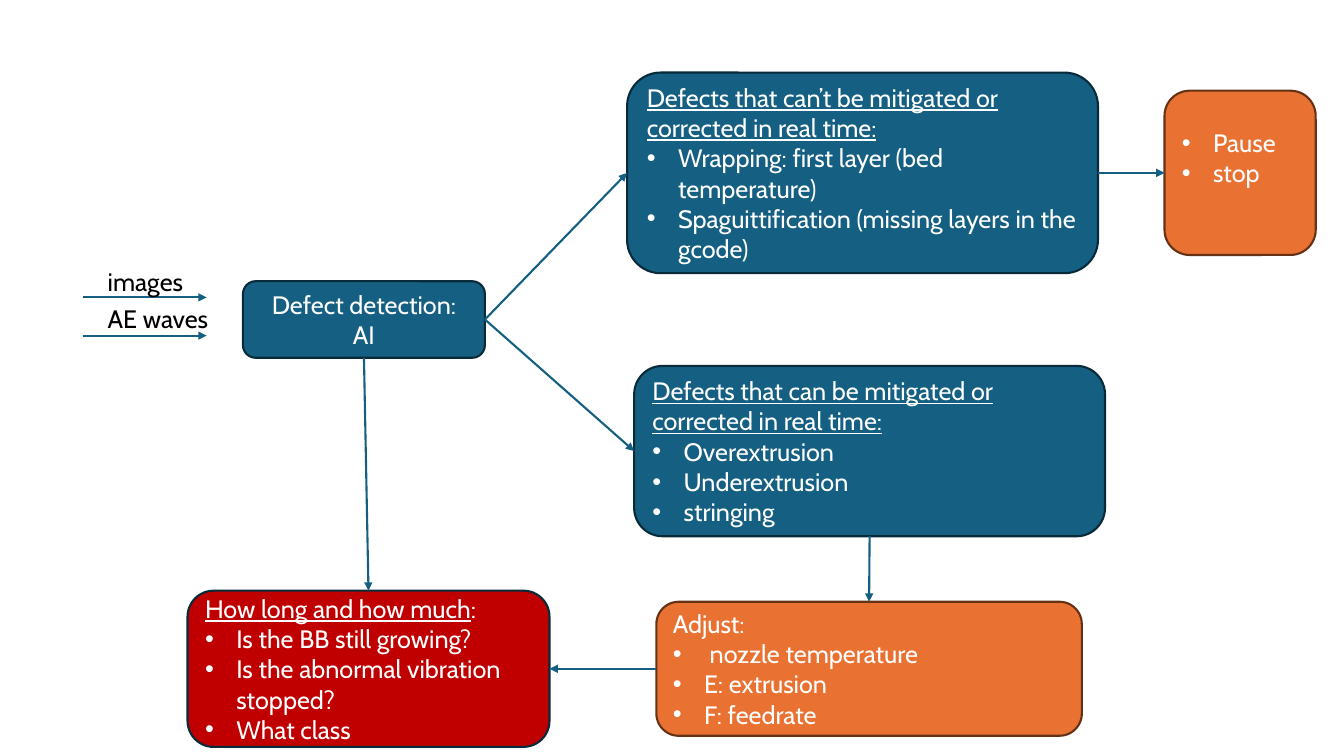
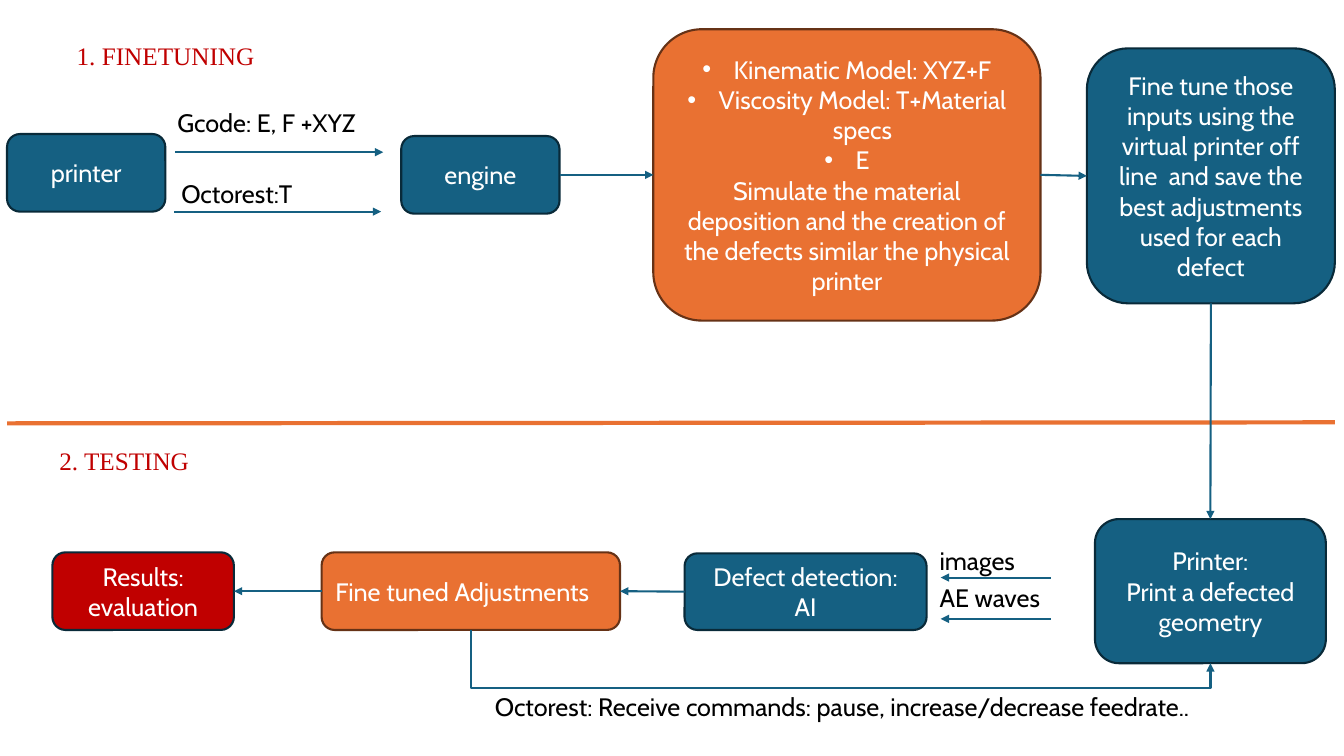
from lxml import etree
from pptx import Presentation
from pptx import util as u
from pptx.dml.color import RGBColor
from pptx.enum import shapes, text
from pptx.oxml import ns

Inches = u.Inches

# Shared look
BLUE = RGBColor(0x15, 0x60, 0x82)
NAVY = RGBColor(0x09, 0x2A, 0x39)
ORANGE = RGBColor(0xE9, 0x71, 0x32)
BROWN = RGBColor(0x66, 0x32, 0x16)
RED = RGBColor(0xC0, 0x00, 0x00)
WHITE = RGBColor(0xFF, 0xFF, 0xFF)
BLACK = RGBColor(0x00, 0x00, 0x00)
OUTLINES = {BLUE: NAVY, ORANGE: BROWN, RED: NAVY}
BODY_FONT, HEADING_FONT = "Cabin", "Times New Roman"
LEFT, CENTER = text.PP_ALIGN.LEFT, text.PP_ALIGN.CENTER
TOP_SITE, LEFT_SITE, BOTTOM_SITE, RIGHT_SITE = range(4)
TITLE_ONLY, BLANK = 5, 6
BULLET = "• "


def sub(parent, tag, **attributes):
    return etree.SubElement(parent, ns.qn(tag), attributes)


def add_run(p, words, color, font=BODY_FONT, underline=None):
    r = p.add_run()
    r.text = words
    r.font.size = u.Pt(18)
    r.font.name = font
    r.font.color.rgb = color
    r.font.underline = underline


def set_bullet(p):
    pPr = p._p.get_or_add_pPr()
    indent = Inches(0.31)
    pPr.set("marL", str(indent))
    pPr.set("indent", str(-indent))
    sub(pPr, "a:buFont", typeface="Arial")
    sub(pPr, "a:buChar", char=BULLET.strip())


def box(s, x, y, w, h, fill, lines, align=CENTER, underlined=""):
    """Rounded box; lines that start with BULLET become list items."""
    sp = s.shapes.add_shape(shapes.MSO_SHAPE.ROUNDED_RECTANGLE,
                            Inches(x), Inches(y), Inches(w), Inches(h))
    sp.shadow.inherit = False
    sp.fill.solid()
    sp.fill.fore_color.rgb = fill
    sp.line.color.rgb = OUTLINES[fill]
    sp.line.width = u.Pt(1.5)
    tf = sp.text_frame
    tf.word_wrap = True
    tf.vertical_anchor = text.MSO_ANCHOR.MIDDLE
    for i, line in enumerate(lines):
        p = tf.add_paragraph() if i else tf.paragraphs[0]
        p.alignment = align
        if line.startswith(BULLET):
            set_bullet(p)
            line = line.removeprefix(BULLET)
        if underlined and line.startswith(underlined):
            add_run(p, underlined, WHITE, underline=True)
            line = line.removeprefix(underlined)
        if line:
            add_run(p, line, WHITE)
    return sp


def fill_label(sp, words, color, font):
    tf = sp.text_frame
    tf.word_wrap = True
    tf.vertical_anchor = text.MSO_ANCHOR.TOP
    p = tf.paragraphs[0]
    p.alignment = LEFT
    add_run(p, words, color, font)


def label(s, x, y, w, words, color=BLACK, font=BODY_FONT):
    sp = s.shapes.add_textbox(Inches(x), Inches(y), Inches(w), Inches(0.4))
    fill_label(sp, words, color, font)


def title(s, x, y, w, words):
    sp = s.shapes.title
    sp.left, sp.top, sp.width, sp.height = map(Inches, (x, y, w, 0.4))
    fill_label(sp, words, RED, HEADING_FONT)


def line(s, x1, y1, x2, y2, color=BLUE, width=1.5, arrow=True,
         kind=shapes.MSO_CONNECTOR.STRAIGHT):
    c = s.shapes.add_connector(kind, *map(Inches, (x1, y1, x2, y2)))
    c.line.color.rgb = color
    c.line.width = u.Pt(width)
    if arrow:
        sub(c.line._get_or_add_ln(), "a:tailEnd", type="triangle")
    sub(c._element.spPr, "a:effectLst")
    return c


def link(s, start, start_site, end, end_site):
    c = line(s, 0, 0, 1, 1)
    c.begin_connect(start, start_site)
    c.end_connect(end, end_site)


def return_arrow(s, start, end, drop):
    """Elbow from the bottom of one box down and up to the bottom of another."""
    x1, x2 = (b.left.inches + b.width.inches / 2 for b in (start, end))
    y1, y2 = (b.top.inches + b.height.inches for b in (start, end))
    cx, cy = (x1 + x2) / 2, (y1 + y2) / 2
    half_w, half_h = (y2 - y1) / 2, (x2 - x1) / 2
    # Drawn upright around its centre, then turned by 270 degrees
    c = line(s, cx + half_w, cy - half_h, cx - half_w, cy + half_h,
             kind=shapes.MSO_CONNECTOR.ELBOW)
    spPr = c._element.spPr
    spPr.xfrm.set("rot", str(270 * 60000))
    guides = spPr.find(ns.qn("a:prstGeom")).get_or_add_avLst()
    sub(guides, "a:gd", name="adj1",
        fmla=f"val {round(drop / (y2 - y1) * 100000)}")


def detection_box(s, x, y):
    return box(s, x, y, 2.4, 0.76, BLUE, ["Defect detection:", "AI"])


def sensor_labels(s, x, y):
    for i, words in enumerate(["images", "AE waves"]):
        label(s, x, y + 0.37 * i, 2.16, words)


def defect_slide(prs):
    s = prs.slides.add_slide(prs.slide_layouts[BLANK])

    # Sensor inputs
    for y in (2.95, 3.33):
        line(s, 0.82, y, 2.05, y)
    detection = detection_box(s, 2.41, 2.79)
    sensor_labels(s, 0.97, 2.59)

    # Defect classes
    heading = "Defects that can’t be mitigated or corrected in real time:"
    fatal = box(s, 6.22, 0.72, 4.67, 1.99, BLUE,
                [heading,
                 "• Wrapping: first layer (bed temperature)",
                 "• Spaguittification (missing layers in the gcode)"],
                LEFT, heading)
    heading = "Defects that can be mitigated or corrected in real time:"
    fixable = box(s, 6.29, 3.63, 4.67, 1.69, BLUE,
                  [heading, "• Overextrusion", "• Underextrusion",
                   "• stringing"], LEFT, heading)

    # Reactions
    halt = box(s, 11.55, 0.9, 1.5, 1.63, ORANGE, ["• Pause", "• stop"], LEFT)
    halt.text_frame.margin_bottom = Inches(0.35)
    adjust = box(s, 6.51, 5.97, 4.22, 1.33, ORANGE,
                 ["Adjust:", "•  nozzle temperature", "• E: extrusion",
                  "• F: feedrate"], LEFT)
    extent = box(s, 1.86, 5.86, 3.59, 1.55, RED,
                 ["How long and how much:", "• Is the BB still growing?",
                  "• Is the abnormal vibration stopped?", "• What class"],
                 LEFT, "How long and how much")

    # Flow
    link(s, detection, RIGHT_SITE, fatal, LEFT_SITE)
    link(s, detection, RIGHT_SITE, fixable, LEFT_SITE)
    link(s, fatal, RIGHT_SITE, halt, LEFT_SITE)
    link(s, fixable, BOTTOM_SITE, adjust, TOP_SITE)
    link(s, adjust, LEFT_SITE, extent, RIGHT_SITE)
    link(s, detection, BOTTOM_SITE, extent, TOP_SITE)


def tuning_slide(prs):
    s = prs.slides.add_slide(prs.slide_layouts[TITLE_ONLY])

    # Finetuning stage
    title(s, 0.66, 0.35, 3.04, "1. FINETUNING")
    box(s, 0.07, 1.33, 1.57, 0.77, BLUE, ["printer"])
    engine = box(s, 3.98, 1.35, 1.57, 0.77, BLUE, ["engine"])
    line(s, 1.74, 1.51, 3.8, 1.51)
    label(s, 1.66, 1.02, 2.71, "Gcode: E, F +XYZ")
    line(s, 1.73, 2.1, 3.78, 2.1)
    label(s, 1.7, 1.72, 1.86, "Octorest:T")
    models = box(s, 6.48, 0.29, 3.84, 2.89, ORANGE,
                 ["• Kinematic Model: XYZ+F",
                  "• Viscosity Model: T+Material specs",
                  "• E",
                  "Simulate the material deposition and the creation of "
                  "the defects similar the physical printer"])
    tuning = box(s, 10.78, 0.48, 2.46, 2.53, BLUE,
                 ["Fine tune those inputs using the virtual printer off line "
                  " and save the best adjustments used for each defect"])

    # Divider
    line(s, 0.07, 4.2, 13.24, 4.19, ORANGE, 3, arrow=False)

    # Testing stage
    label(s, 0.49, 4.37, 3.04, "2. TESTING", RED, HEADING_FONT)
    printer = box(s, 10.86, 5.15, 2.29, 1.43, BLUE,
                  ["Printer:", "Print a defected geometry"])
    sensor_labels(s, 9.22, 5.36)
    for y in (5.73, 6.14):
        line(s, 10.42, y, 9.33, y)
    detection = detection_box(s, 6.79, 5.49)
    adjustments = box(s, 3.19, 5.48, 2.96, 0.77, ORANGE,
                      ["Fine tuned Adjustments"], LEFT)
    results = box(s, 0.52, 5.48, 1.8, 0.77, RED, ["Results: evaluation"])

    # Flow
    link(s, engine, RIGHT_SITE, models, LEFT_SITE)
    link(s, models, RIGHT_SITE, tuning, LEFT_SITE)
    link(s, tuning, BOTTOM_SITE, printer, TOP_SITE)
    link(s, detection, LEFT_SITE, adjustments, RIGHT_SITE)
    link(s, adjustments, LEFT_SITE, results, RIGHT_SITE)
    return_arrow(s, adjustments, printer, 0.58)
    label(s, 4.81, 6.81, 7.63,
          "Octorest: Receive commands: pause, increase/decrease feedrate..")


def main():
    prs = Presentation()
    prs.slide_width, prs.slide_height = Inches(13.33), Inches(7.5)
    defect_slide(prs)
    tuning_slide(prs)
    prs.save("out.pptx")


if __name__ == "__main__":
    main()
